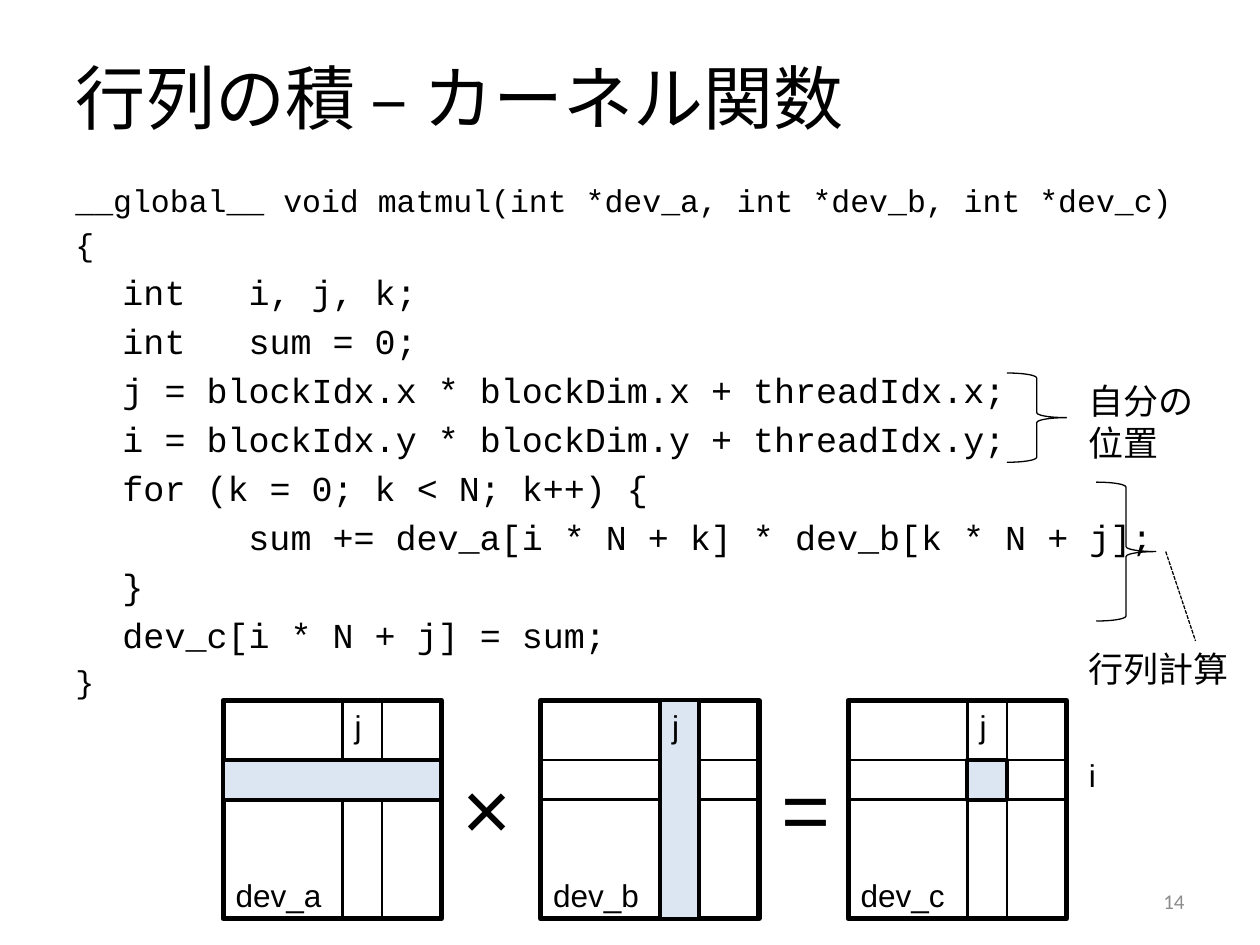
from dataclasses import dataclass

import pptx
import pptx.dml.color
import pptx.enum.dml
import pptx.enum.shapes
import pptx.enum.text
import pptx.oxml
import pptx.oxml.ns
import pptx.util

Cm = pptx.util.Cm
Pt = pptx.util.Pt
MSO = pptx.enum.shapes.MSO_SHAPE
ALIGN = pptx.enum.text.PP_ALIGN
ANCHOR = pptx.enum.text.MSO_ANCHOR


@dataclass(frozen=True)
class Theme:
    ink: str = "000000"
    muted: str = "8C8C8C"
    highlight: str = "DCE6F2"
    heading_font: str = "Calibri"
    code_font: str = "Courier New"
    label_font: str = "Arial"
    title: int = 40
    operator: int = 48
    note: int = 20
    code: int = 20
    signature: int = 18
    label: int = 18
    number: int = 12
    frame: float = 3
    strong: float = 2.25
    band: float = 1.5
    thin: float = 0.75


@dataclass(frozen=True)
class Matrix:
    name: str
    left: float
    highlight: str  # "row", "column" or "cell"


@dataclass(frozen=True)
class Label:
    text: str
    left: float
    top: float
    width: float
    height: float


THEME = Theme()
SIDE, BAND = 4.4, 0.8
ROW_OFFSET, COLUMN_OFFSET = 1.2, 2.4
MATRIX_TOP = 14.12
MATRICES = [
    Matrix("dev_a", 4.5, "row"),
    Matrix("dev_b", 10.9, "column"),
    Matrix("dev_c", 17.1, "cell"),
]
OPERATORS = [Label("×", 8.69, 15.12, 2.24, 2.31), Label("=", 15.51, 15.12, 1.37, 2.31)]
NOTES = [Label("自分の\n位置", 21.7, 7.52, 4.8, 1.96), Label("行列計算", 21.7, 12.92, 4.8, 1.12)]
BRACES = [(20.3, 7.52, 1.2, 1.8), (22.1, 9.72, 1.2, 2.8)]
CODE = """__global__ void matmul(int *dev_a, int *dev_b, int *dev_c)
{
\tint   i, j, k;
\tint   sum = 0;
\tj = blockIdx.x * blockDim.x + threadIdx.x;
\ti = blockIdx.y * blockDim.y + threadIdx.y;
\tfor (k = 0; k < N; k++) {
\t\tsum += dev_a[i * N + k] * dev_b[k * N + j];
\t}
\tdev_c[i * N + j] = sum;
}"""


def rgb(value: str) -> pptx.dml.color.RGBColor:
    return pptx.dml.color.RGBColor.from_string(value)


def add_text(s, text: str, left: float, top: float, width: float, height: float, *,
             size: float, font: str = THEME.label_font, color: str = THEME.ink,
             align=ALIGN.LEFT, anchor=ANCHOR.TOP, wrap: bool = True):
    """Add a text box with one paragraph per line of text."""
    tf = s.shapes.add_textbox(Cm(left), Cm(top), Cm(width), Cm(height)).text_frame
    tf.word_wrap = wrap
    tf.vertical_anchor = anchor
    for i, line in enumerate(text.split("\n")):
        p = tf.paragraphs[0] if i == 0 else tf.add_paragraph()
        p.alignment = align
        r = p.add_run()
        r.text = line
        r.font.size = Pt(size)
        r.font.name = font
        r.font.color.rgb = rgb(color)
    return tf


def add_outline(s, kind, left: float, top: float, width: float, height: float,
                weight: float, fill: str | None = None) -> None:
    sp = s.shapes.add_shape(kind, Cm(left), Cm(top), Cm(width), Cm(height))
    sp.shadow.inherit = False
    sp.line.color.rgb = rgb(THEME.ink)
    sp.line.width = Pt(weight)
    if fill:
        sp.fill.solid()
        sp.fill.fore_color.rgb = rgb(fill)
    else:
        sp.fill.background()


def add_code(s) -> None:
    """Add the kernel listing; indented lines hang from a tab at the margin."""
    tf = add_text(s, CODE, 1.27, 3.53, 22.86, 14, size=THEME.code, font=THEME.code_font)
    for i, p in enumerate(tf.paragraphs):
        pPr = p._p.get_or_add_pPr()
        pPr.set("marL", str(Cm(0.95)))
        pPr.set("indent", str(-Cm(0.95)))
        pPr.set("defTabSz", str(Cm(2.54)))
        size = THEME.code if p.text.startswith("\t") else THEME.signature
        p.runs[0].font.size = Pt(size)
        if i:
            p.space_before = Pt(size * 0.2)


def add_matrix(s, m: Matrix) -> None:
    """Draw the frame and its row and column bands, the highlighted part in front."""
    row_top, column_left = MATRIX_TOP + ROW_OFFSET, m.left + COLUMN_OFFSET
    bands = {
        "row": (m.left, row_top, SIDE, BAND),
        "column": (column_left, MATRIX_TOP, BAND, SIDE),
        "cell": (column_left, row_top, BAND, BAND),
    }
    add_outline(s, MSO.RECTANGLE, m.left, MATRIX_TOP, SIDE, SIDE, THEME.frame)
    for name in ("row", "column"):
        if name != m.highlight:
            add_outline(s, MSO.RECTANGLE, *bands[name], THEME.band)
    add_outline(s, MSO.RECTANGLE, *bands[m.highlight], THEME.strong, THEME.highlight)
    add_text(s, "j", column_left, MATRIX_TOP, 0.66, 1.02, size=THEME.label, wrap=False)
    add_text(s, m.name, m.left, 17.53, 2.26, 1.02, size=THEME.label, wrap=False)


def add_dashed_line(s, x1: float, y1: float, x2: float, y2: float) -> None:
    line = s.shapes.add_connector(pptx.enum.shapes.MSO_CONNECTOR.STRAIGHT,
                                  Cm(x1), Cm(y1), Cm(x2), Cm(y2))
    line.line.color.rgb = rgb(THEME.ink)
    line.line.width = Pt(THEME.thin)
    line.line.dash_style = pptx.enum.dml.MSO_LINE.SQUARE_DOT
    effects = f"<a:effectLst {pptx.oxml.ns.nsdecls('a')}/>"
    line._element.spPr.append(pptx.oxml.parse_xml(effects))


def main() -> None:
    prs = pptx.Presentation()
    prs.slide_width, prs.slide_height = Cm(25.4), Cm(19.05)
    s = prs.slides.add_slide(prs.slide_layouts[6])

    add_text(s, "行列の積 – カーネル関数", 1.27, 0.76, 22.86, 2.36, size=THEME.title,
             font=THEME.heading_font, anchor=ANCHOR.MIDDLE)
    add_code(s)
    add_text(s, "14", 18.2, 17.66, 5.93, 1.01, size=THEME.number, font=THEME.heading_font,
             color=THEME.muted, align=ALIGN.RIGHT, anchor=ANCHOR.MIDDLE)

    for brace in BRACES:
        add_outline(s, MSO.RIGHT_BRACE, *brace, THEME.thin)
    for n in NOTES:
        add_text(s, n.text, n.left, n.top, n.width, n.height, size=THEME.note)
    add_dashed_line(s, 23.5, 11.12, 24.1, 12.92)

    for m in MATRICES:
        add_matrix(s, m)
    for o in OPERATORS:
        add_text(s, o.text, o.left, o.top, o.width, o.height, size=THEME.operator,
                 align=ALIGN.CENTER, wrap=False)
    add_text(s, "i", 21.7, 15.12, 0.66, 1.02, size=THEME.label, wrap=False)

    prs.save("out.pptx")


if __name__ == "__main__":
    main()
